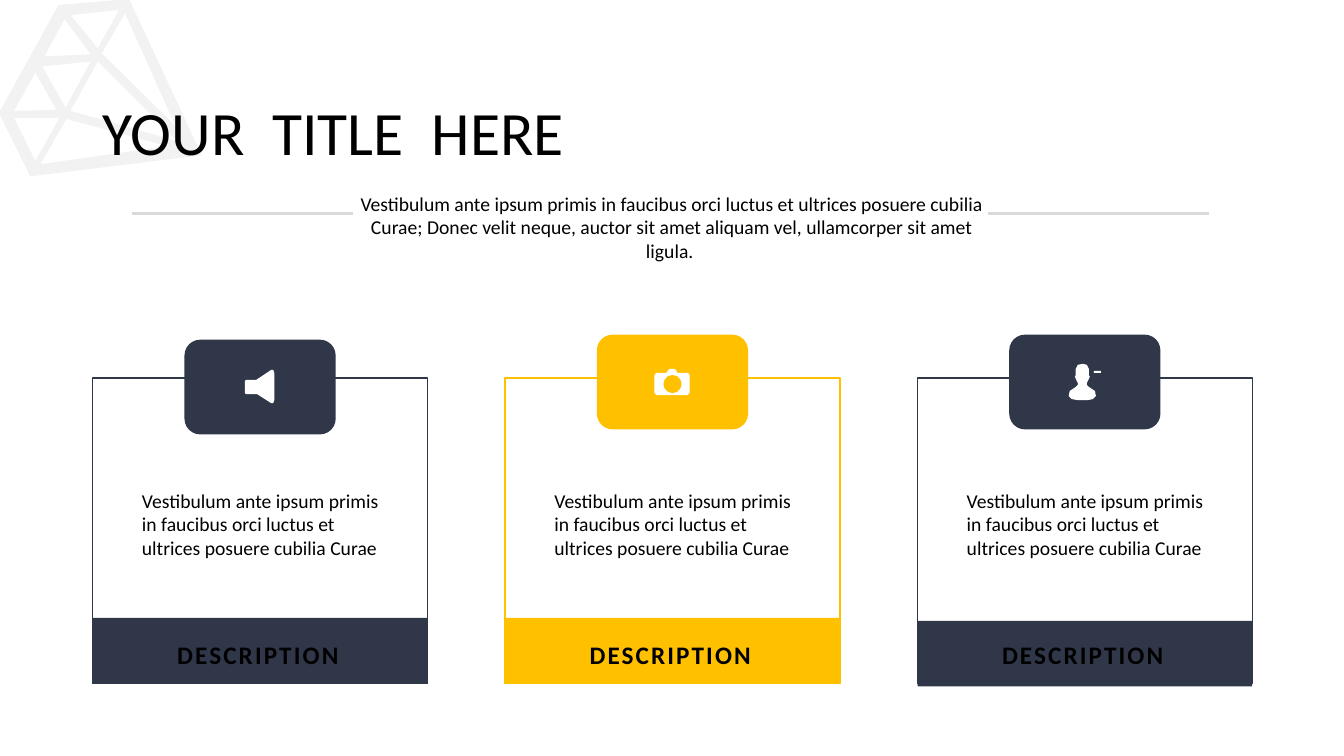
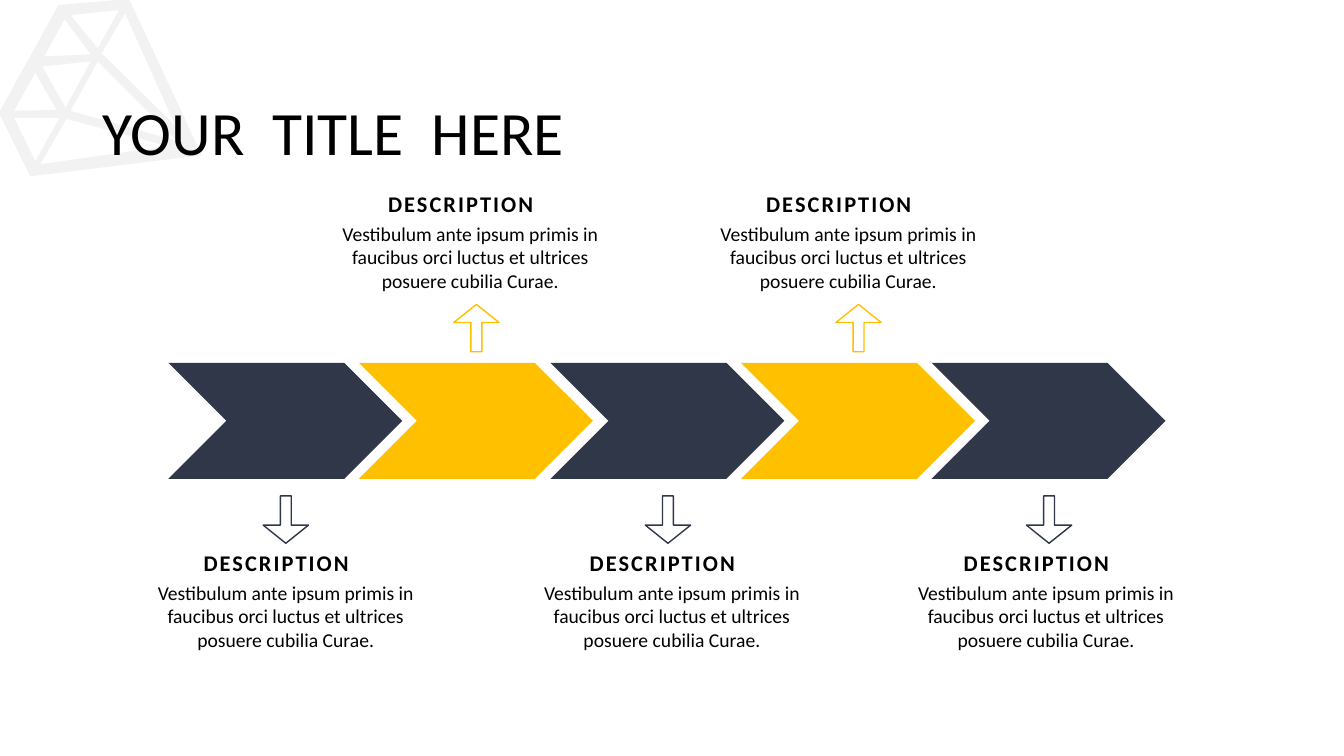
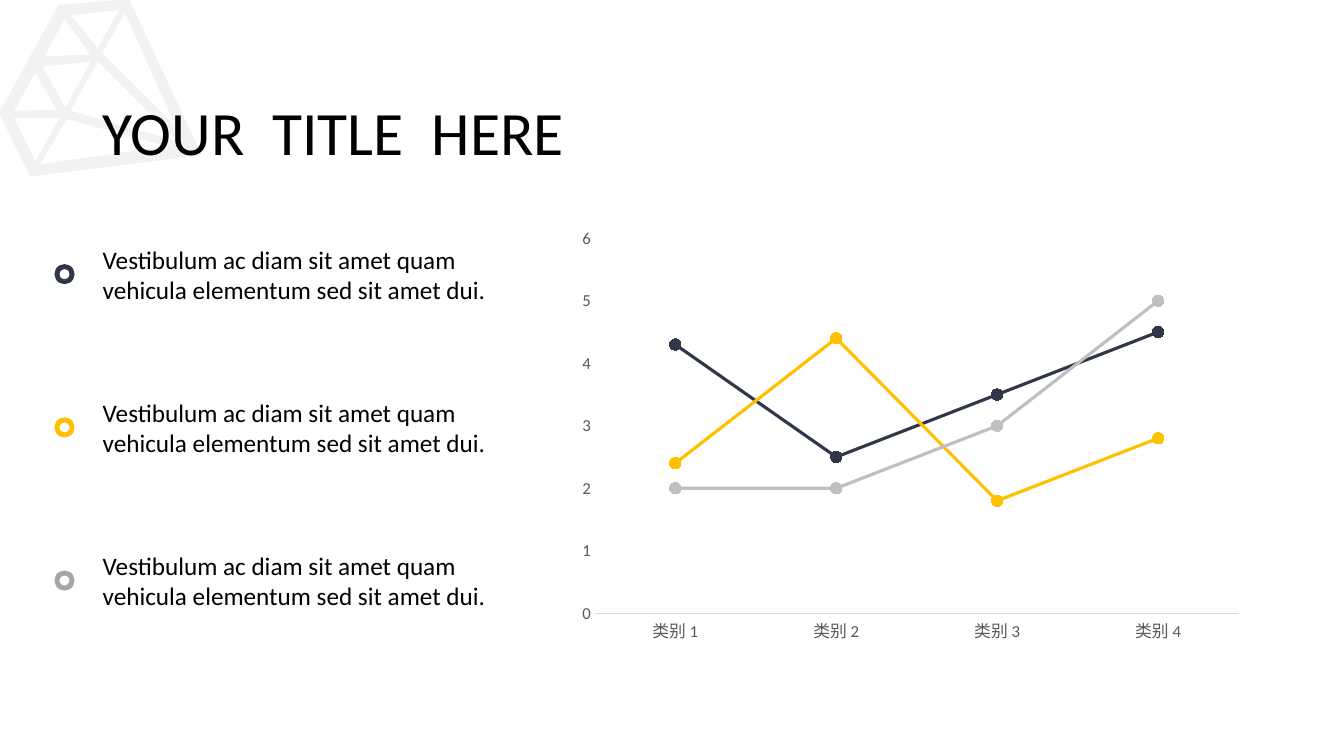
from lxml import etree
from pptx import Presentation
from pptx.chart.data import CategoryChartData
from pptx.dml.color import RGBColor
from pptx.enum.chart import XL_CHART_TYPE, XL_MARKER_STYLE, XL_TICK_MARK
from pptx.enum.shapes import MSO_CONNECTOR, MSO_SHAPE
from pptx.enum.text import MSO_ANCHOR, MSO_AUTO_SIZE, PP_ALIGN
from pptx.oxml.ns import qn
from pptx.util import Pt

SCALE = 9144  # EMU in one px, 100 px to the inch
FONT = "Calibri"
NAVY, GOLD, SILVER, GREY = "303749", "FFC000", "BFBFBF", "A6A6A6"
BLACK, WHITE, RULE, EMBLEM, AXIS = "000000", "FFFFFF", "D9D9D9", "F2F2F2", "595959"
LEFT, CENTER = PP_ALIGN.LEFT, PP_ALIGN.CENTER
RECT, ROUND, OVAL = MSO_SHAPE.RECTANGLE, MSO_SHAPE.ROUNDED_RECTANGLE, MSO_SHAPE.OVAL
CHEVRON, DONUT = MSO_SHAPE.CHEVRON, MSO_SHAPE.DONUT
UP, DOWN = MSO_SHAPE.UP_ARROW, MSO_SHAPE.DOWN_ARROW
STRAIGHT = MSO_CONNECTOR.STRAIGHT
LINE_MARKERS, CIRCLE = XL_CHART_TYPE.LINE_MARKERS, XL_MARKER_STYLE.CIRCLE
NO_TICK = XL_TICK_MARK.NONE

PHRASE = "Vestibulum ante ipsum primis in faucibus orci luctus et ultrices posuere cubilia Curae"
INTRO = PHRASE + "; Donec velit neque, auctor sit amet aliquam vel, ullamcorper sit amet ligula. "
POINT = "Vestibulum ac diam sit amet quam vehicula elementum sed sit amet dui."

# Outer outline first, then the triangular openings
EMBLEM_OUTLINES = [
    [(58, 5), (-1, 112), (30, 175), (200, 154), (128, -1)],
    [(118, 10), (97, 48), (70, 15)],
    [(64, 19), (90, 54), (44, 56)],
    [(90, 61), (65, 107), (42, 66)],
    [(35, 72), (56, 109), (14, 110)],
    [(14, 117), (59, 117), (35, 160)],
    [(40, 163), (66, 118), (166, 145)],
    [(70, 110), (97, 61), (176, 140)],
    [(174, 125), (101, 53), (124, 13)],
]
MEGAPHONE = [(269, 367), (254, 377), (244, 377), (243, 378), (243, 390), (244, 391),
             (255, 391), (269, 400), (271, 400), (272, 397), (272, 370), (271, 367)]
CAMERA = [(682, 370), (672, 370), (671, 368), (669, 366), (664, 366), (662, 368),
          (661, 370), (651, 370), (649, 372), (649, 390), (651, 392), (682, 392),
          (684, 390), (684, 372)]
PERSON = [(1083, 386), (1080, 384), (1078, 382), (1078, 380), (1080, 376), (1081, 373),
          (1080, 373), (1080, 366), (1078, 362), (1074, 361), (1069, 362), (1067, 366),
          (1067, 373), (1066, 373), (1067, 376), (1069, 380), (1069, 382), (1067, 384),
          (1064, 386), (1061, 388), (1060, 393), (1063, 396), (1069, 397), (1074, 397),
          (1079, 397), (1084, 396), (1087, 393), (1086, 388)]


def px(*values):
    return [round(value * SCALE) for value in values]


def color(code):
    return RGBColor.from_string(code)


class Builder:
    """Holds the deck, its shared style and the page being filled."""

    def __init__(self):
        self.deck = Presentation()
        self.deck.slide_width, self.deck.slide_height = px(1333, 750)
        self.layout = self.deck.slide_layouts[5]
        title = self.layout.placeholders[0]
        title.left, title.top, title.width, title.height = px(92, 40, 1150, 132)
        self.page = None

    def new_page(self, title):
        self.page = self.deck.slides.add_slide(self.layout)
        frame = self.page.shapes.title.text_frame
        frame.vertical_anchor = MSO_ANCHOR.BOTTOM
        frame.auto_size = MSO_AUTO_SIZE.NONE
        frame.paragraphs[0].line_spacing = 0.9
        self.add_span(frame, title, 44)

    def share_emblem(self):
        """Draws the emblem once and moves it to the layout, behind the title."""
        emblem = self.outline(EMBLEM_OUTLINES, EMBLEM)
        self.layout.shapes.element.insert(2, emblem.element)

    def add_span(self, frame, text, size, align=LEFT, bold=False, spacing=0):
        para = frame.paragraphs[0]
        para.alignment = align
        span = para.add_run()
        span.text = text
        font = span.font
        font.name, font.size, font.bold = FONT, Pt(size), bold
        font.color.rgb = color(BLACK)
        if spacing:
            span._r.get_or_add_rPr().set("spc", str(round(spacing * 100)))

    def text(self, left, top, width, height, text, size=14, align=LEFT):
        box = self.page.shapes.add_textbox(*px(left, top, width, height))
        box.text_frame.word_wrap = True
        self.add_span(box.text_frame, text, size, align)

    def heading(self, left, top, width, height, size):
        box = self.page.shapes.add_textbox(*px(left, top, width, height))
        box.text_frame.word_wrap = False
        self.add_span(box.text_frame, "DESCRIPTION", size, bold=True, spacing=1.5)

    def paint(self, shape, fill, line=None):
        shape.shadow.inherit = False
        if fill:
            shape.fill.solid()
            shape.fill.fore_color.rgb = color(fill)
        else:
            shape.fill.background()
        if line:
            shape.line.color.rgb = color(line)
            shape.line.width = Pt(1)
        else:
            shape.line.fill.background()
        return shape

    def shape(self, kind, left, top, width, height, fill=None, line=None, adjust=()):
        shape = self.page.shapes.add_shape(kind, *px(left, top, width, height))
        for index, value in enumerate(adjust):
            shape.adjustments[index] = value
        return self.paint(shape, fill, line)

    def outline(self, contours, fill):
        """Fills closed contours; the ones inside the first are openings."""
        builder = None
        for contour in contours:
            first, *rest = [px(*point) for point in contour]
            if builder is None:
                builder = self.page.shapes.build_freeform(*first, scale=1.0)
            else:
                builder.move_to(*first)
            builder.add_line_segments(rest, close=True)
        return self.paint(builder.convert_to_shape(), fill)

    def rule(self, left, right, y):
        line = self.page.shapes.add_connector(STRAIGHT, *px(left, y, right, y))
        line.line.color.rgb = color(RULE)
        line.line.width = Pt(2.25)
        properties = line.element.find(qn("p:spPr"))
        etree.SubElement(properties, qn("a:effectLst"))

    def line_chart(self, left, top, width, height, categories, series):
        data = CategoryChartData()
        data.categories = categories
        for name, _, values in series:
            data.add_series(name, values)
        frame = self.page.shapes.add_chart(LINE_MARKERS, *px(left, top, width, height), data)
        chart = frame.chart
        chart.has_legend = chart.has_title = False
        chart.font.name, chart.font.size = FONT, Pt(10)
        chart.font.color.rgb = color(BLACK)
        plot = chart.plots[0]
        plot.vary_by_categories = False
        for drawn, (_, code, _) in zip(plot.series, series):
            drawn.smooth = False
            drawn.format.line.color.rgb = color(code)
            drawn.format.line.width = Pt(2.25)
            marker = drawn.marker
            marker.style, marker.size = CIRCLE, 8
            marker.format.fill.solid()
            marker.format.fill.fore_color.rgb = color(code)
            marker.format.line.color.rgb = color(code)
        for axis in (chart.category_axis, chart.value_axis):
            axis.has_major_gridlines = False
            axis.major_tick_mark = axis.minor_tick_mark = NO_TICK
            font = axis.tick_labels.font
            font.name, font.size = FONT, Pt(12)
            font.color.rgb = color(AXIS)
        baseline = chart.category_axis.format.line
        baseline.color.rgb = color(RULE)
        baseline.width = Pt(0.75)
        scale = chart.value_axis
        scale.format.line.fill.background()
        scale.minimum_scale, scale.maximum_scale, scale.major_unit = 0, 6, 1


def cards_page(builder):
    builder.text(333, 185, 667, 81, INTRO, align=CENTER)
    cards = [(NAVY, 337, 613), (GOLD, 332, 613), (NAVY, 332, 616)]
    for index, (code, badge_top, band_top) in enumerate(cards):
        left = 92 + 409 * index
        builder.shape(RECT, left, 375, 332, 303, line=code)
        builder.shape(ROUND, left + 91, badge_top, 150, 94, code)
        builder.shape(RECT, left, band_top, 332, 65, code)
        builder.text(left + 39, 480, 267, 81, PHRASE)
        builder.heading(left + 74, 629, 184, 40, 18)
    for icon in (MEGAPHONE, CAMERA, PERSON):
        builder.outline([icon], WHITE)
    builder.shape(OVAL, 658, 372, 18, 18, GOLD)
    builder.shape(RECT, 1085, 368, 7, 2, WHITE)
    builder.rule(131, 350, 212)
    builder.rule(980, 1199, 212)


def process_page(builder):
    for index, label_left in enumerate([126, 309, 509, 684, 880]):
        shift = 189.25 * index
        above = index % 2 == 1
        code, arrow, arrow_top, label_top = (
            (GOLD, UP, 302, 184) if above else (NAVY, DOWN, 492, 540))
        builder.shape(CHEVRON, round(167 + shift), 360, 232, 115, code)
        builder.shape(arrow, round(261 + shift), arrow_top, 45, 47, line=code,
                      adjust=(0.24, 0.4))
        builder.text(label_left, label_top + 31, 315, 81, PHRASE + ".", align=CENTER)
        builder.heading(label_left + 66, label_top, 168, 37, 16)


def chart_page(builder):
    builder.line_chart(564, 218, 678, 428, ["类别 1", "类别 2", "类别 3", "类别 4"], [
        ("Series 1", NAVY, (4.3, 2.5, 3.5, 4.5)),
        ("Series 2", GOLD, (2.4, 4.4, 1.8, 2.8)),
        ("Series 3", SILVER, (2, 2, 3, 5)),
    ])
    for index, code in enumerate([NAVY, GOLD, GREY]):
        top = 237 + 152 * index
        builder.shape(DONUT, 54, top + 25, 20, 20, code)
        builder.text(92, top, 442, 71, POINT, 18)


def main():
    builder = Builder()
    for fill_page in (cards_page, process_page, chart_page):
        builder.new_page("YOUR  TITLE  HERE")
        if fill_page is cards_page:
            builder.share_emblem()
        fill_page(builder)
    builder.deck.save("out.pptx")


if __name__ == "__main__":
    main()
